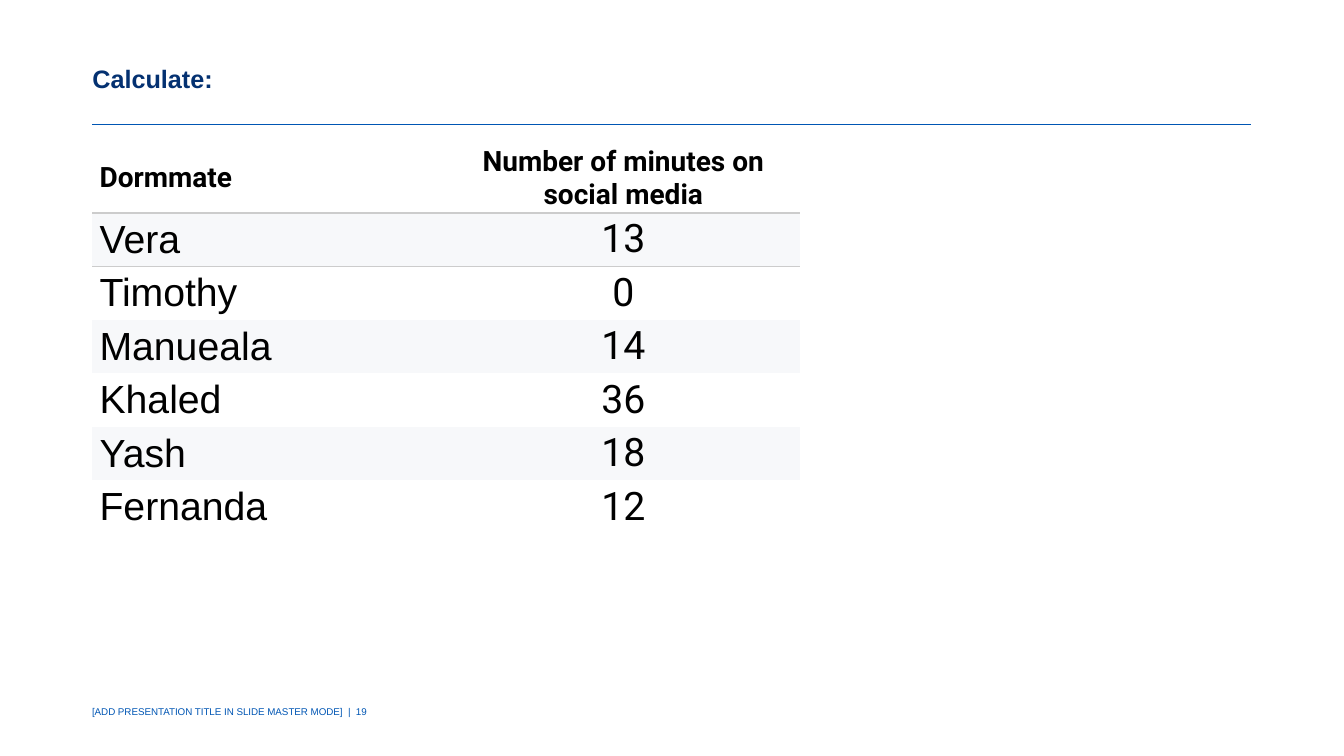
from lxml.etree import SubElement
from pptx import Presentation
from pptx.dml.color import RGBColor
from pptx.enum.shapes import MSO_CONNECTOR
from pptx.enum.text import MSO_ANCHOR, PP_ALIGN
from pptx.oxml import parse_xml
from pptx.oxml.ns import nsdecls, qn
from pptx.util import Cm, Pt

BLUE, NAVY, BLACK = "0056B4", "043171", "000000"
WHITE, PALE, GREY = "FFFFFF", "F7F8FA", "CCCCCC"
NO_GRID_STYLE = "{2D5ABB26-0587-4C30-8999-92F81FD0307C}"
HEADINGS = ("Dormmate", "Number of minutes on social media")
MINUTES = (
    ("Vera", "13"),
    ("Timothy", "0"),
    ("Manueala", "14"),
    ("Khaled", "36"),
    ("Yash", "18"),
    ("Fernanda", "12"),
)


def color(value):
    """Turn a hex string into a colour."""
    return RGBColor.from_string(value)


def apply(target, values):
    """Set attributes of an object from a dict."""
    for name, value in values.items():
        setattr(target, name, value)


def write(paragraph, text, font_color, **font_values):
    """Put formatted text into a paragraph."""
    run = paragraph.add_run()
    run.text = text
    apply(run.font, font_values)
    run.font.color.rgb = color(font_color)


def add_text(slide, box, text, font_color, frame_values, **font_values):
    """Add a text box without margins and return its paragraph."""
    frame = slide.shapes.add_textbox(*map(Cm, box)).text_frame
    margins = dict.fromkeys(
        ("margin_left", "margin_top", "margin_right", "margin_bottom"), 0)
    apply(frame, {"word_wrap": True, **margins, **frame_values})
    paragraph = frame.paragraphs[0]
    write(paragraph, text, font_color, **font_values)
    return paragraph


def add_rule(slide, left, right, top):
    """Add a thin horizontal line."""
    rule = slide.shapes.add_connector(
        MSO_CONNECTOR.STRAIGHT, Cm(left), Cm(top), Cm(right), Cm(top))
    rule.line.color.rgb = color(BLUE)
    rule.line.width = Pt(0.5)
    SubElement(rule._element.spPr, qn("a:effectLst"))


def add_border(cell, side):
    """Draw a grey border on one side of a cell."""
    border = parse_xml(
        f'<a:{side} {nsdecls("a")} w="{Pt(1)}"><a:solidFill>'
        f'<a:srgbClr val="{GREY}"/></a:solidFill></a:{side}>')
    cell._tc.get_or_add_tcPr().insert(0, border)


def fill_cell(cell, text, row, column):
    """Format one table cell according to its row and column."""
    header = row == 0
    apply(cell, {
        "vertical_anchor": MSO_ANCHOR.MIDDLE,
        "margin_left": Cm(0.18),
        "margin_right": Cm(0.18),
        "margin_top": Cm(0.08),
        "margin_bottom": Cm(0.03 if header else 0.08),
    })
    cell.fill.solid()
    cell.fill.fore_color.rgb = color(PALE if row % 2 else WHITE)
    paragraph = cell.text_frame.paragraphs[0]
    paragraph.alignment = PP_ALIGN.CENTER if column else PP_ALIGN.LEFT
    write(paragraph, text, BLACK, bold=header, size=Pt(20 if header else 28),
          name="Roboto" if header or column else "Arial")
    if row < 2:
        add_border(cell, "lnT" if row else "lnB")


def add_minutes_table(slide):
    """Add the table of minutes for each dormmate."""
    rows = (HEADINGS, *MINUTES)
    table = slide.shapes.add_table(
        len(rows), len(HEADINGS), Cm(2.33), Cm(3.56), Cm(17.84), Cm(9.32)).table
    table._tbl.tblPr.find(qn("a:tableStyleId")).text = NO_GRID_STYLE
    apply(table, {"first_row": True, "horz_banding": False})
    for column in table.columns:
        column.width = Cm(8.92)
    for row, texts in enumerate(rows):
        table.rows[row].height = Cm(1.34 if row else 1.24)
        for column, text in enumerate(texts):
            fill_cell(table.cell(row, column), text, row, column)


def main():
    """Build the slide and save it."""
    presentation = Presentation()
    apply(presentation, {"slide_width": Cm(33.87), "slide_height": Cm(19.05)})
    slide = presentation.slides.add_slide(presentation.slide_layouts[6])
    add_text(slide, (2.32, 17.78, 18.19, 0.43),
             "[ADD PRESENTATION TITLE IN SLIDE MASTER MODE]  |  19",
             BLUE, {}, name="Arial", size=Pt(7))
    add_rule(slide, 2.33, 31.53, 3.13)
    title = add_text(slide, (2.33, 1.14, 29.2, 1.78), "Calculate:", NAVY,
                     {"vertical_anchor": MSO_ANCHOR.MIDDLE},
                     name="Arial", size=Pt(18), bold=True)
    title.line_spacing = 0.9
    add_minutes_table(slide)
    presentation.save("out.pptx")


if __name__ == "__main__":
    main()
